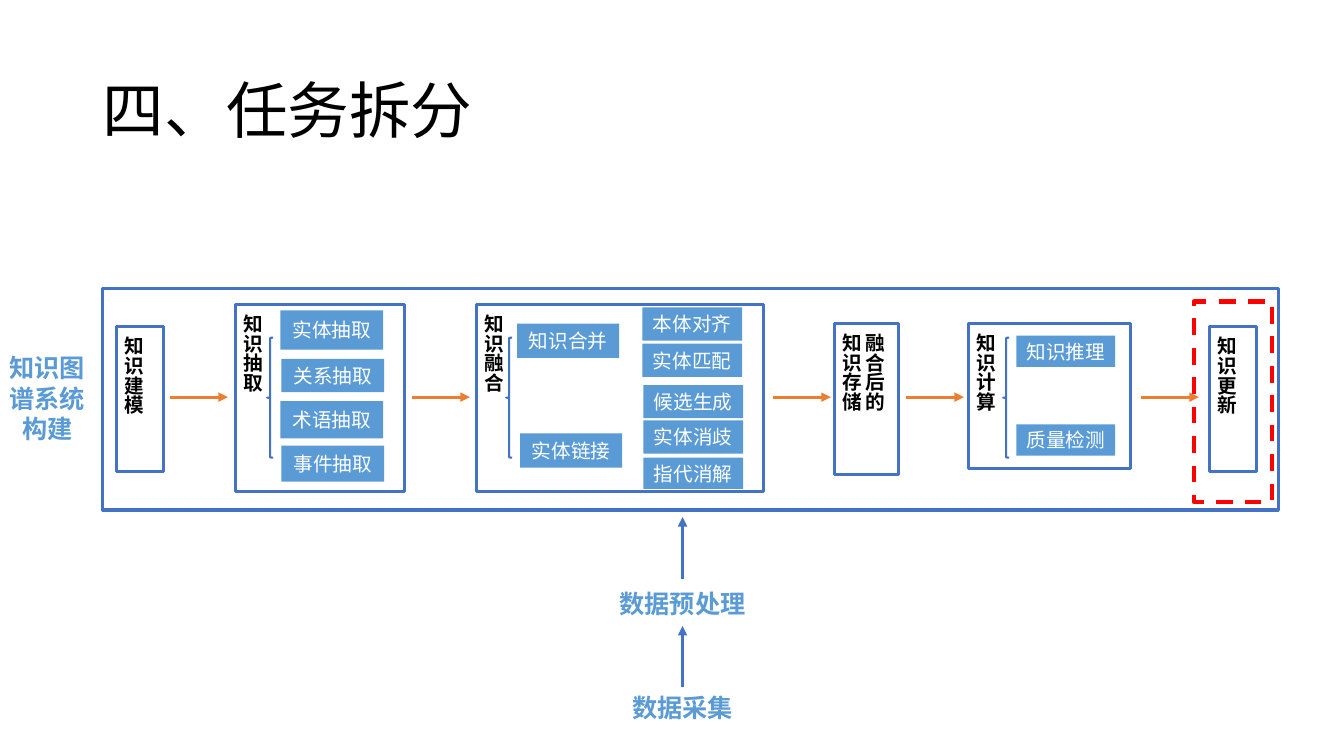
from lxml import etree
from pptx import Presentation
from pptx.dml.color import RGBColor
from pptx.enum.dml import MSO_LINE_DASH_STYLE as DASH
from pptx.enum.shapes import MSO_CONNECTOR, MSO_SHAPE
from pptx.enum.text import MSO_ANCHOR, MSO_AUTO_SIZE, PP_ALIGN
from pptx.oxml.ns import qn
from pptx.util import Inches, Pt

FONT = "Noto Sans CJK SC"
COLORS = {
    "frame": "4472C4", "task": "5B9BD5", "flow": "ED7D31",
    "highlight": "FF0000", "ink": "000000", "paper": "FFFFFF",
}

# Stage: box, heading lines, brace offset (x, y), tasks as (text, x, y, w, h) inside the box
STAGES = [
    ((1.16, 3.24, 0.46, 1.44), ["知识建模"], None, []),
    ((2.34, 3.02, 1.67, 1.86), ["知识抽取"], (0.31, 0.33), [
        ("实体抽取", 0.44, 0.06, 1.02, 0.39),
        ("关系抽取", 0.45, 0.54, 1.02, 0.33),
        ("术语抽取", 0.44, 0.96, 1.02, 0.37),
        ("事件抽取", 0.45, 1.40, 1.02, 0.36),
    ]),
    ((4.73, 3.02, 2.84, 1.86), ["知识融合"], (0.29, 0.33), [
        ("知识合并", 0.40, 0.19, 1.01, 0.34),
        ("实体链接", 0.43, 1.28, 1.01, 0.34),
        ("本体对齐", 1.64, 0.03, 0.99, 0.33),
        ("实体匹配", 1.64, 0.39, 0.99, 0.33),
        ("候选生成", 1.65, 0.80, 0.99, 0.33),
        ("实体消歧", 1.65, 1.15, 0.99, 0.33),
        ("指代消解", 1.65, 1.52, 0.99, 0.31),
    ]),
    ((8.28, 3.21, 0.63, 1.5), ["融合后的", "知识存储"], None, []),
    ((9.61, 3.21, 1.6, 1.44), ["知识计算"], (0.34, 0.14), [
        ("知识推理", 0.47, 0.12, 0.98, 0.31),
        ("质量检测", 0.47, 1.00, 0.98, 0.31),
    ]),
    ((12, 3.24, 0.46, 1.44), ["知识更新"], None, []),
]
FLOW_STARTS = [1.69, 4.09, 7.67, 8.99, 11.32]
FLOW_Y, FLOW_LENGTH = 3.94, 0.57


def rgb(name):
    return RGBColor.from_string(COLORS[name])


def write(paragraph, text, size, color, bold=False, align=PP_ALIGN.CENTER):
    paragraph.alignment = align
    run = paragraph.add_run()
    run.text = text
    font = run.font
    font.name, font.size, font.bold = FONT, Pt(size), bold
    font.color.rgb = rgb(color)
    east_asian = etree.SubElement(run._r.get_or_add_rPr(), qn("a:ea"))
    east_asian.set("typeface", FONT)


def add_box(slide, box, fill=None, line=None, width=2.25, kind=MSO_SHAPE.RECTANGLE):
    shape = slide.shapes.add_shape(kind, *map(Inches, box))
    shape.shadow.inherit = False
    if fill:
        shape.fill.solid()
        shape.fill.fore_color.rgb = rgb(fill)
    else:
        shape.fill.background()
    if line:
        shape.line.color.rgb = rgb(line)
        shape.line.width = Pt(width)
    else:
        shape.line.fill.background()
    return shape


def add_arrow(slide, start, end, color):
    arrow = slide.shapes.add_connector(
        MSO_CONNECTOR.STRAIGHT, *map(Inches, (*start, *end)))
    arrow.line.color.rgb = rgb(color)
    arrow.line.width = Pt(2.25)
    etree.SubElement(arrow.line._get_or_add_ln(), qn("a:tailEnd")).set("type", "triangle")
    etree.SubElement(arrow._element.spPr, qn("a:effectLst"))


def add_label(slide, box, text, wrap=False):
    frame = slide.shapes.add_textbox(*map(Inches, box)).text_frame
    frame.word_wrap = wrap
    frame.auto_size = MSO_AUTO_SIZE.SHAPE_TO_FIT_TEXT
    write(frame.paragraphs[0], text, 18, "task", bold=True)


def add_title(slide, box, text):
    title = slide.shapes.title
    title.left, title.top, title.width, title.height = map(Inches, box)
    frame = title.text_frame
    frame.auto_size = MSO_AUTO_SIZE.NONE
    frame.vertical_anchor = MSO_ANCHOR.MIDDLE
    frame.paragraphs[0].line_spacing = 0.9
    write(frame.paragraphs[0], text, 44, "ink", align=PP_ALIGN.LEFT)


def add_stage(slide, box, heading, brace, tasks):
    left, top = box[:2]
    # Frame with vertical heading
    frame = add_box(slide, box, line="frame").text_frame
    frame.vertical_anchor = MSO_ANCHOR.BOTTOM
    frame._txBody.bodyPr.set("vert", "eaVert")
    for i, line in enumerate(heading):
        paragraph = frame.add_paragraph() if i else frame.paragraphs[0]
        write(paragraph, line, 14, "ink", bold=True)
    # Brace and tasks
    if brace:
        add_box(slide, (left + brace[0], top + brace[1], 0.06, 1.19),
                line="frame", width=1.5, kind=MSO_SHAPE.LEFT_BRACE)
    for text, x, y, w, h in tasks:
        task = add_box(slide, (left + x, top + y, w, h), fill="task").text_frame
        task.vertical_anchor = MSO_ANCHOR.MIDDLE
        write(task.paragraphs[0], text, 14, "paper")


def add_pipeline(slide, box):
    add_box(slide, box, line="frame")
    add_label(slide, (box[0] - 1.07, box[1] + 0.59, 1.04, 1.01), "知识图谱系统构建", wrap=True)
    for stage in STAGES:
        add_stage(slide, *stage)
    # Highlight around the last stage
    left, top, width, height = STAGES[-1][0]
    highlight = add_box(slide, (left - 0.16, top - 0.25, width + 0.32, height + 0.55),
                        line="highlight", width=3)
    highlight.line.dash_style = DASH.DASH
    # Flow between stages
    for x in FLOW_STARTS:
        add_arrow(slide, (x, FLOW_Y), (x + FLOW_LENGTH, FLOW_Y), "flow")


def add_data_source(slide, center, top):
    steps = [("数据预处理", 1.46, 0), ("数据采集", 1.21, 1.03)]
    for text, width, offset in steps:
        add_label(slide, (center - width / 2, top + offset, width, 0.4), text)
    for bottom in (top - 0.05, top + 1.03):
        add_arrow(slide, (center, bottom), (center, bottom - 0.61), "frame")


def main():
    deck = Presentation()
    deck.slide_width, deck.slide_height = Inches(13.33), Inches(7.5)
    slide = deck.slides.add_slide(deck.slide_layouts[5])
    add_title(slide, (0.92, 0.4, 11.5, 1.45), "四、任务拆分")
    add_pipeline(slide, (1.02, 2.86, 11.66, 2.2))
    add_data_source(slide, 6.77, 5.79)
    deck.save("out.pptx")


if __name__ == "__main__":
    main()
